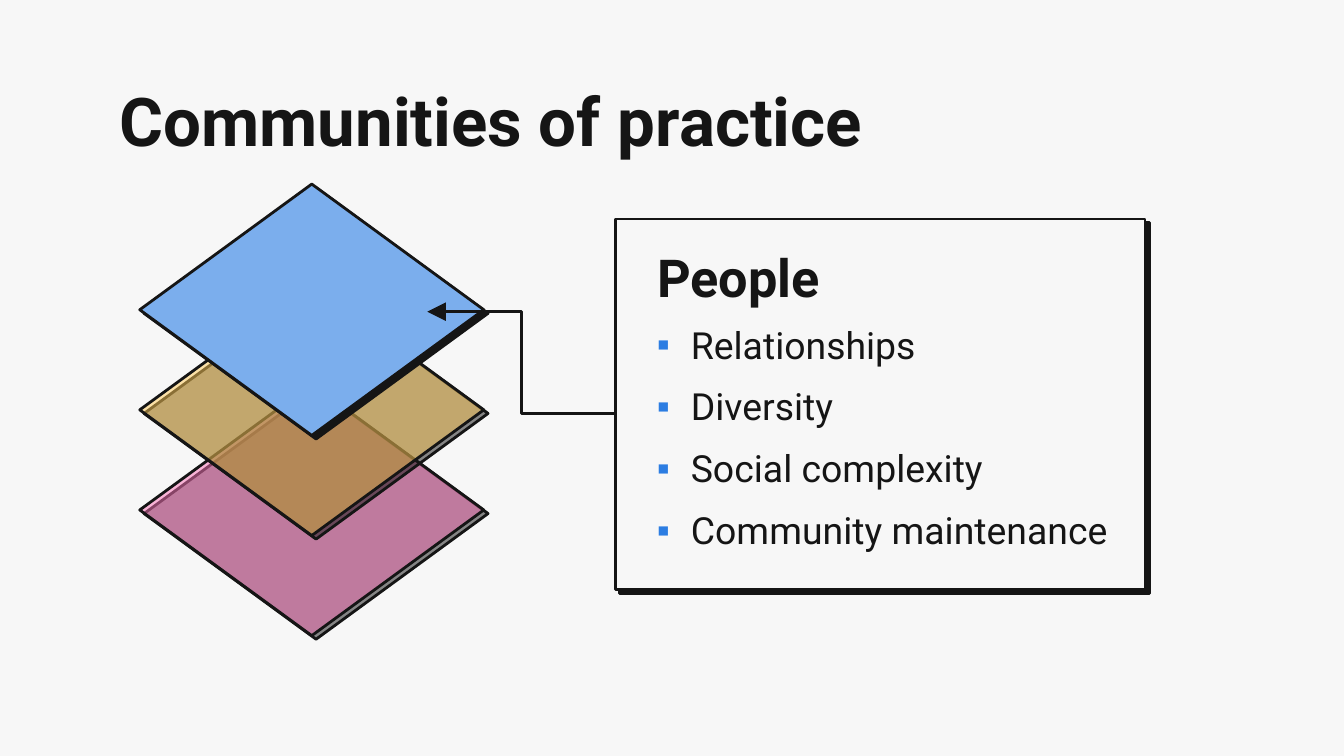
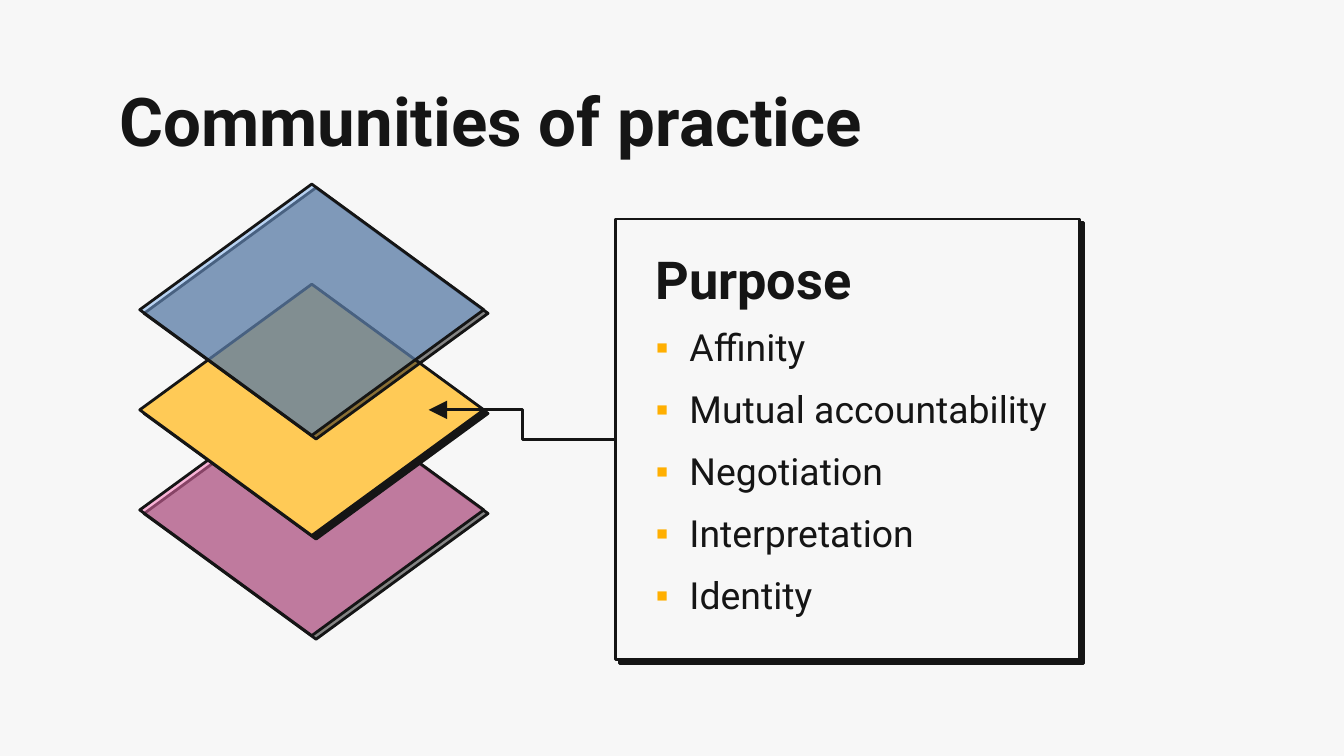
from lxml.etree import SubElement
from pptx import Presentation
from pptx.dml.color import RGBColor
from pptx.enum.shapes import MSO_CONNECTOR, MSO_SHAPE
from pptx.enum.text import MSO_ANCHOR, MSO_AUTO_SIZE, PP_ALIGN
from pptx.oxml.ns import qn
from pptx.util import Inches, Pt

INK = "151515"
PAPER = "F7F7F7"
FONT = "Roboto"
PAGE_WIDTH = 10
LAYER_COLORS = ["7BAEED", "FFCA56", "FA71B7"]
LAYER_TOP = 1.37
LAYER_BOTTOM = 2.86
LAYER_STEP = (LAYER_BOTTOM - LAYER_TOP) / (len(LAYER_COLORS) - 1)
PANEL_LEFT = 4.58
PANEL_TOP = 1.63


def color(value):
    return RGBColor.from_string(value)


def add_child(parent, tag, **attributes):
    return SubElement(parent, qn(tag), {name: str(value) for name, value in attributes.items()})


def write(para, text, size=20, bold=False, spacing=1.0, after=0, bullet=None):
    para.alignment = PP_ALIGN.LEFT
    para.line_spacing = spacing
    para.space_before = Pt(0)
    para.space_after = Pt(after)
    if bullet:
        properties = para._p.get_or_add_pPr()
        properties.set("marL", str(Inches(0.25)))
        properties.set("indent", str(-Inches(0.25)))
        add_child(add_child(properties, "a:buClr"), "a:srgbClr", val=bullet)
        add_child(properties, "a:buSzPct", val=85000)
        add_child(properties, "a:buFont", typeface=FONT)
        add_child(properties, "a:buChar", char="▪")
    span = para.add_run()
    span.text = text
    span.font.name = FONT
    span.font.size = Pt(size)
    span.font.bold = bold
    span.font.color.rgb = color(INK)


class LayerDeck:
    def __init__(self):
        self.deck = Presentation()
        self.deck.slide_width = Inches(PAGE_WIDTH)
        self.deck.slide_height = Inches(PAGE_WIDTH * 9 / 16)
        fill = self.deck.slide_master.background.fill
        fill.solid()
        fill.fore_color.rgb = color(PAPER)
        self.page = None

    def new_page(self, title):
        self.page = self.deck.slides.add_slide(self.deck.slide_layouts[1])
        box = self.page.shapes.title
        self.place(box, 0.79, 0.49, 8.43, 0.63)
        write(box.text_frame.paragraphs[0], title, size=36, bold=True)

    def place(self, box, left, top, width, height, anchor=MSO_ANCHOR.TOP):
        box.left, box.top = Inches(left), Inches(top)
        box.width, box.height = Inches(width), Inches(height)
        frame = box.text_frame
        frame.word_wrap = True
        frame.auto_size = MSO_AUTO_SIZE.NONE
        frame.vertical_anchor = anchor
        frame.margin_left = frame.margin_right = Inches(0.1)
        frame.margin_top = frame.margin_bottom = Inches(0.1)

    def card(self, shapes, kind, left, top, width, height, fill, opacity=100):
        shape = shapes.add_shape(kind, Inches(left), Inches(top), Inches(width), Inches(height))
        shape.fill.solid()
        shape.fill.fore_color.rgb = color(fill)
        shape.line.color.rgb = color(INK)
        shape.line.width = Pt(1.5)
        shape.shadow.inherit = False
        properties = shape.element.spPr
        if opacity < 100:
            tint = properties.find(qn("a:solidFill")).find(qn("a:srgbClr"))
            add_child(tint, "a:alpha", val=opacity * 1000)
        shadow = add_child(
            properties.find(qn("a:effectLst")), "a:outerShdw",
            blurRad=0, dist=Pt(3), dir=40 * 60000, algn="bl", rotWithShape=0,
        )
        add_child(shadow, "a:srgbClr", val=INK)

    def panel(self, width, height):
        self.card(self.page.shapes, MSO_SHAPE.RECTANGLE, PANEL_LEFT, PANEL_TOP, width, height, PAPER)

    def layers(self, active):
        stack = self.page.shapes.add_group_shape()
        for level in reversed(range(len(LAYER_COLORS))):
            self.card(
                stack.shapes, MSO_SHAPE.DIAMOND, 1.04, LAYER_TOP + level * LAYER_STEP, 2.56, 1.87,
                LAYER_COLORS[level], opacity=100 if level == active else 50,
            )

    def heading(self, text, left, top, width, spacing):
        box = self.page.shapes.add_textbox(0, 0, 0, 0)
        self.place(box, left, top, width, 0.36, MSO_ANCHOR.BOTTOM)
        write(box.text_frame.paragraphs[0], text, size=28, bold=True, spacing=spacing)

    def bullets(self, items, left, top, width, accent):
        box = self.page.placeholders[1]
        box.element.getparent().append(box.element)
        self.place(box, left, top, width, 0.89)
        frame = box.text_frame
        for index, item in enumerate(items):
            para = frame.add_paragraph() if index else frame.paragraphs[0]
            write(para, item, spacing=1.13, after=6, bullet=accent)

    def pointer(self, start, end):
        x1, y1, x2, y2 = (Inches(value) for value in (*start, *end))
        connector = self.page.shapes.add_connector(MSO_CONNECTOR.ELBOW, x1, y1, x2, y2)
        connector.line.color.rgb = color(INK)
        connector.line.width = Pt(1.75)
        properties = connector.element.spPr
        add_child(properties.find(qn("a:ln")), "a:tailEnd", type="triangle", w="lg", len="lg")
        add_child(properties, "a:effectLst")

    def layer_page(self, active, name, items, accent, panel_size, text_left, heading_top,
                   heading_width, list_width, pointer_start, pointer_end, heading_spacing=1.0):
        self.new_page("Communities of practice")
        self.panel(*panel_size)
        self.layers(active)
        self.heading(name, text_left, heading_top, heading_width, heading_spacing)
        self.bullets(items, text_left, heading_top + 0.22, list_width, accent)
        self.pointer((PANEL_LEFT, pointer_start), pointer_end)


def main():
    slides = LayerDeck()
    slides.layer_page(
        active=0, name="People", accent="2C7DE2", panel_size=(3.94, 2.76),
        items=["Relationships", "Diversity", "Social complexity", "Community maintenance"],
        text_left=4.79, heading_top=2.03, heading_width=2.25, list_width=3.74,
        pointer_start=3.08, pointer_end=(3.18, 2.32),
    )
    slides.layer_page(
        active=1, name="Purpose", accent="FFAF01", panel_size=(3.45, 3.28),
        items=["Affinity", "Mutual accountability", "Negotiation", "Interpretation", "Identity"],
        text_left=4.78, heading_top=2.05, heading_width=2.77, list_width=4.43,
        pointer_start=3.27, pointer_end=(3.19, 3.05), heading_spacing=1.13,
    )
    slides.deck.save("out.pptx")


if __name__ == "__main__":
    main()
